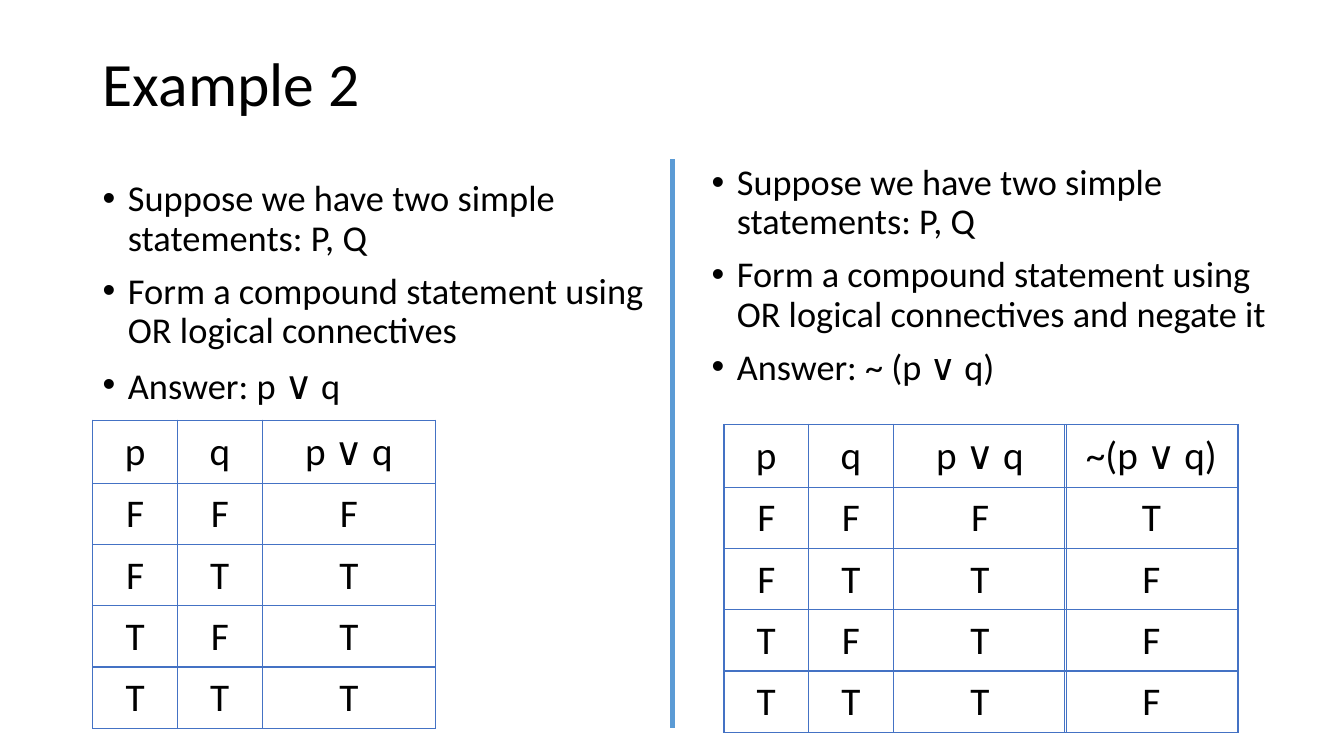
from lxml import etree
from pptx import Presentation, util as u
from pptx.dml.color import RGBColor
from pptx.enum import shapes, text
from pptx.oxml import parse_xml
from pptx.oxml.ns import nsdecls, qn

BLACK, BORDER, DIVIDER = "000000", "4472C4", "5B9BD5"
TABLE_SIZE = 28
ROW_HEIGHT, TABLE_HEIGHT = 0.42, 3.06
NARROW, WIDE = 0.84, 1.72


def color(hex_string):
    return RGBColor.from_string(hex_string)


def add_runs(paragraph, parts):
    """Append (wording, point size) pairs to the paragraph as black Calibri runs."""
    for wording, size in parts:
        run = paragraph.add_run()
        run.text = wording
        for name, value in {"name": "Calibri", "size": u.Pt(size)}.items():
            setattr(run.font, name, value)
        run.font.color.rgb = color(BLACK)


presentation = Presentation()
presentation.slide_width, presentation.slide_height = u.Inches(13.33), u.Inches(7.5)
slide = presentation.slides.add_slide(presentation.slide_layouts[5])

# Title
title = slide.shapes.title
for name, value in {"left": 0.92, "top": 0.4, "width": 11.5, "height": 0.91}.items():
    setattr(title, name, u.Inches(value))
title.text_frame.vertical_anchor = text.MSO_ANCHOR.MIDDLE
title.text_frame.auto_size = text.MSO_AUTO_SIZE.NONE
heading = title.text_frame.paragraphs[0]
heading.alignment, heading.line_spacing = text.PP_ALIGN.LEFT, 0.9
add_runs(heading, [("Example 2", 44)])

# Bullet lists, one for each half of the slide
premise = "Suppose we have two simple statements: P, Q"
task = "Form a compound statement using OR logical connectives"
bullet_lists = [
    (0.92, 1.74, 2.43, [
        [(premise, 26)],
        [(task, 26)],
        [("Answer: p ", 26), ("∨", 28), (" q", 26)],
    ]),
    (6.96, 1.58, 2.58, [
        [(premise, 25.9)],
        [(task + " and negate it", 25.9)],
        [("Answer: ~ (p ∨ q)", 25.9)],
    ]),
]
for left, top, height, bullets in bullet_lists:
    box = slide.shapes.add_textbox(*map(u.Inches, (left, top, 5.75, height)))
    frame = box.text_frame
    frame.word_wrap = True
    for index, parts in enumerate(bullets):
        paragraph = frame.add_paragraph() if index else frame.paragraphs[0]
        paragraph.line_spacing, paragraph.space_before = 0.9, u.Pt(10)
        properties = paragraph._p.get_or_add_pPr()
        properties.set("marL", str(u.Inches(0.25)))
        properties.set("indent", str(-u.Inches(0.25)))
        etree.SubElement(properties, qn("a:buFont")).set("typeface", "Arial")
        etree.SubElement(properties, qn("a:buChar")).set("char", "•")
        add_runs(paragraph, parts)

# Divider between the halves
divider = slide.shapes.add_connector(
    shapes.MSO_CONNECTOR.STRAIGHT, *map(u.Inches, (6.67, 1.58, 6.67, 7.22)))
divider.line.color.rgb = color(DIVIDER)
divider.line.width = u.Pt(3)
etree.SubElement(divider._element.spPr, qn("a:effectLst"))

# Truth tables: every column is a table of its own
p_column = (0, NARROW, "p", "FFTT")
q_column = (NARROW, NARROW, "q", "FTFT")
or_column = (2 * NARROW, WIDE, "p ∨ q", "FTTT")
negated_column = (3.38, WIDE, "~(p ∨ q)", "TFFF")
truth_tables = [
    (0.92, 4.17, [p_column, q_column, or_column]),
    (7.18, 4.21, [p_column, q_column, or_column, negated_column]),
]
for left, top, columns in truth_tables:
    for offset, width, header, values in columns:
        entries = [header, *values]
        graphic = slide.shapes.add_table(
            len(entries), 1, *map(u.Inches, (left + offset, top, width, TABLE_HEIGHT)))
        table = graphic.table
        table.first_row = table.horz_banding = False
        for index, entry in enumerate(entries):
            table.rows[index].height = u.Inches(ROW_HEIGHT)
            cell = table.cell(index, 0)
            for side in ("left", "right", "top", "bottom"):
                setattr(cell, f"margin_{side}", u.Inches(0.07 if index else 0.08))
            cell.fill.background()
            for position, edge in enumerate(("lnL", "lnR", "lnT", "lnB")):
                cell._tc.tcPr.insert(position, parse_xml(
                    f'<a:{edge} {nsdecls("a")} w="{u.Pt(1)}"><a:solidFill>'
                    f'<a:srgbClr val="{BORDER}"/></a:solidFill></a:{edge}>'))
            paragraph = cell.text_frame.paragraphs[0]
            paragraph.alignment = text.PP_ALIGN.CENTER
            add_runs(paragraph, [(entry, TABLE_SIZE)])
        graphic.height = u.Inches(TABLE_HEIGHT)

presentation.save("out.pptx")
